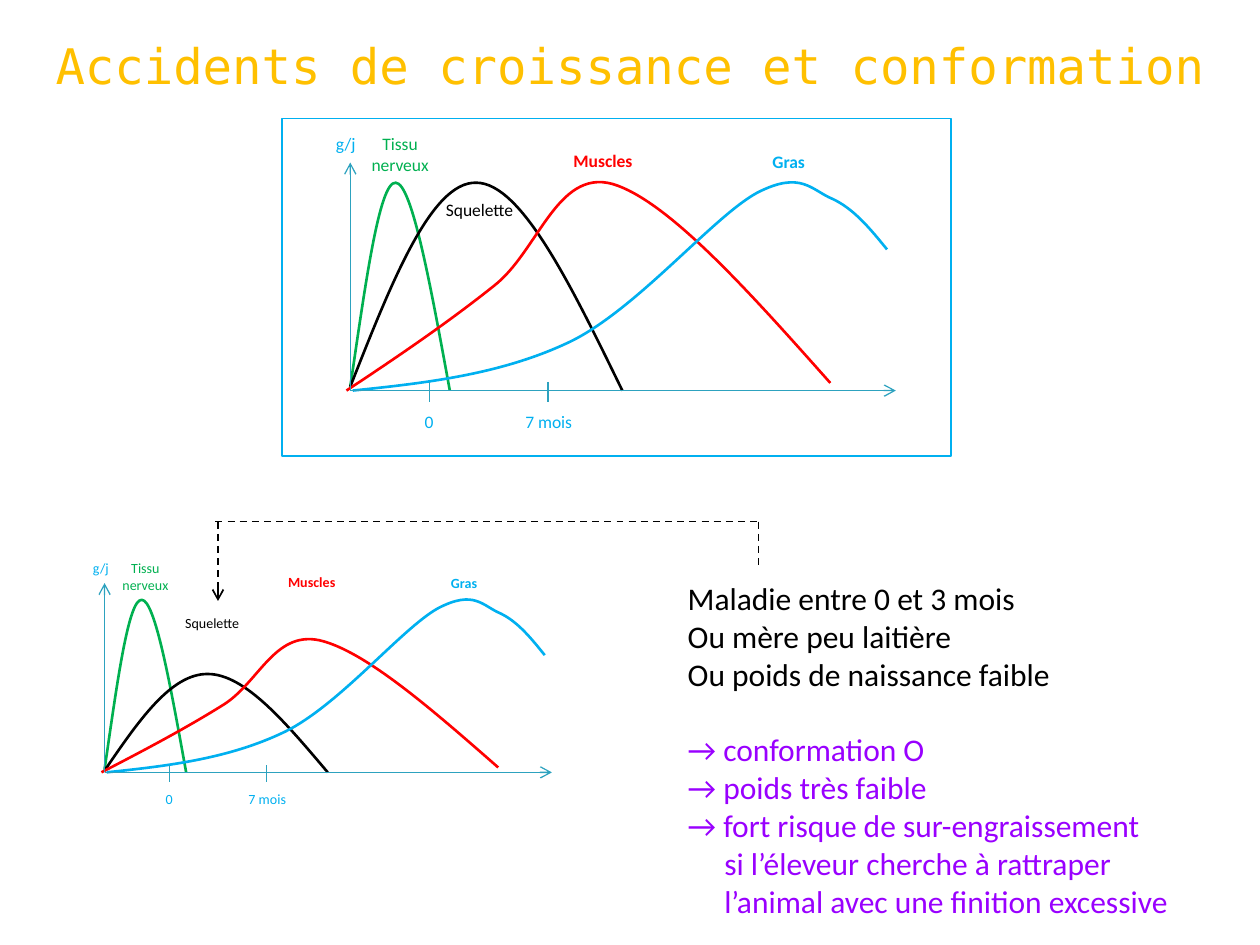
from lxml.etree import SubElement
from pptx import Presentation
from pptx.dml.color import RGBColor
from pptx.enum.dml import MSO_LINE
from pptx.enum.shapes import MSO_CONNECTOR, MSO_SHAPE
from pptx.enum.text import MSO_ANCHOR, PP_ALIGN
from pptx.oxml.ns import qn
from pptx.util import Inches, Pt

color = RGBColor.from_string
BLACK, GREEN, RED, BLUE = "000000", "00B050", "FF0000", "00B0F0"
TEAL, PURPLE, GOLD = "2DA2BF", "9900FF", "FFC000"

presentation = Presentation()
presentation.slide_width = Inches(10)
presentation.slide_height = Inches(7.5)
slide = presentation.slides.add_slide(presentation.slide_layouts[6])

# The slide is a grid of 10 columns by 7.5 rows.
column = presentation.slide_width / 10
row = presentation.slide_height / 7.5


def add_text(shapes, text, left, top, width, height, size, hue, font="Calibri",
             bold=False, align=PP_ALIGN.CENTER, anchor=MSO_ANCHOR.TOP):
    """Add a text box placed in columns and rows; each line is a paragraph."""
    box = shapes.add_textbox(int(left * column), int(top * row),
                             int(width * column), int(height * row))
    frame = box.text_frame
    frame.word_wrap = True
    frame.vertical_anchor = anchor
    frame.text = text
    for paragraph in frame.paragraphs:
        paragraph.alignment = align
        paragraph.font.size = Pt(size)
        paragraph.font.name = font
        paragraph.font.bold = bold
        paragraph.font.color.rgb = color(hue)
    return frame


def add_line(shapes, x1, y1, x2, y2, hue, width=0.75, dashed=False, arrow=False):
    """Add a straight line between two grid points."""
    line = shapes.add_connector(MSO_CONNECTOR.STRAIGHT, int(x1 * column), int(y1 * row),
                                int(x2 * column), int(y2 * row))
    line.line.color.rgb = color(hue)
    line.line.width = Pt(width)
    if dashed:
        line.line.dash_style = MSO_LINE.DASH
    if arrow:
        SubElement(line.line._get_or_add_ln(), qn("a:tailEnd"), type="arrow")
    SubElement(line._element.spPr, qn("a:effectLst"))


add_text(slide.shapes, "Accidents de croissance et conformation", 0, 0.13, 10, 0.77,
         28, GOLD, font="DejaVu Sans Mono", anchor=MSO_ANCHOR.MIDDLE)

# Growth curves: Bézier points (x, height) measured from the origin of the axes.
curves = {
    "nerveux": (GREEN, [(0, 0.03), (0.12, 0.84), (0.23, 1.66), (0.36, 1.65),
                        (0.49, 1.65), (0.64, 0.82), (0.79, 0)]),
    "squelette": (BLACK, [(0, 0.03), (0.32, 0.84), (0.64, 1.66), (1, 1.65),
                          (1.36, 1.65), (1.76, 0.82), (2.16, 0)]),
    "muscles": (RED, [(-0.03, 0), (0.38, 0.27), (0.79, 0.55), (1.14, 0.83),
                      (1.49, 1.1), (1.64, 1.76), (2.08, 1.64),
                      (2.52, 1.51), (3.17, 0.78), (3.81, 0.06)]),
    "gras": (BLUE, [(0.02, 0), (0.61, 0.06), (1.21, 0.13), (1.75, 0.39),
                    (2.28, 0.65), (2.88, 1.38), (3.23, 1.57),
                    (3.58, 1.75), (3.66, 1.59), (3.83, 1.52),
                    (4, 1.44), (4.13, 1.28), (4.26, 1.12)]),
}
# Labels: text, left and height above the origin, box width and height, colour, bold, alignment.
labels = [
    ("0", 0.47, -0.11, 0.31, 0.27, BLUE, False, PP_ALIGN.CENTER),
    ("7 mois", 1.26, -0.11, 0.63, 0.27, BLUE, False, PP_ALIGN.CENTER),
    ("Tissu nerveux", 0.04, 2.09, 0.71, 0.44, GREEN, False, PP_ALIGN.CENTER),
    ("Squelette", 0.66, 1.57, 0.85, 0.27, BLACK, False, PP_ALIGN.LEFT),
    ("Muscles", 1.65, 1.96, 0.71, 0.27, RED, True, PP_ALIGN.CENTER),
    ("Gras ", 3.14, 1.95, 0.71, 0.27, BLUE, True, PP_ALIGN.CENTER),
    ("g/j", -0.35, 2.09, 0.63, 0.27, BLUE, False, PP_ALIGN.CENTER),
]
# Charts: origin, scale, text size, curves that are lowered, framed or not.
charts = [
    (0.83, 6.13, 0.82, 0.83, 8, {"squelette": 0.57, "muscles": 0.77}, False),
    (2.78, 3.1, 1, 1, 10, {}, True),
]

for origin_x, origin_y, scale_x, scale_y, text_size, lowered, framed in charts:
    shapes = slide.shapes.add_group_shape().shapes

    for name, (hue, points) in curves.items():
        rise = scale_y * lowered.get(name, 1)
        knots = [(round((origin_x + x * scale_x) * column), round((origin_y - y * rise) * row))
                 for x, y in points]
        builder = shapes.build_freeform(*knots[0])
        builder.add_line_segments(knots[3::3], close=False)
        curve = builder.convert_to_shape()
        # Turn each straight segment into a Bézier segment with its two control points.
        for index, segment in enumerate(list(curve._element.iter(qn("a:lnTo")))):
            segment.tag = qn("a:cubicBezTo")
            controls = knots[3 * index + 1:3 * index + 3]
            for position, (x, y) in enumerate(controls):
                control = SubElement(segment, qn("a:pt"), x=str(x - curve.left),
                                     y=str(y - curve.top))
                segment.insert(position, control)
        curve.shadow.inherit = False
        curve.fill.background()
        curve.line.color.rgb = color(hue)
        curve.line.width = Pt(1.5)

    add_line(shapes, origin_x, origin_y, origin_x, origin_y - 1.81 * scale_y, TEAL, arrow=True)
    add_line(shapes, origin_x, origin_y, origin_x + 4.33 * scale_x, origin_y, TEAL, arrow=True)
    for tick in (0.63, 1.57):
        x = origin_x + tick * scale_x
        add_line(shapes, x, origin_y - 0.07 * scale_y, x, origin_y + 0.09 * scale_y, TEAL)

    for text, x, y, width, height, hue, bold, align in labels:
        add_text(shapes, text, origin_x + x * scale_x, origin_y - y * scale_y,
                 width * scale_x, height * scale_y, text_size, hue, bold=bold, align=align)

    if framed:
        border = shapes.add_shape(MSO_SHAPE.RECTANGLE, int(2.24 * column), int(0.94 * row),
                                  int(5.31 * column), int(2.68 * row))
        border.shadow.inherit = False
        border.fill.background()
        border.line.color.rgb = color(BLUE)
        border.line.width = Pt(1)

causes = ["Maladie entre 0 et 3 mois", "Ou mère peu laitière", "Ou poids de naissance faible"]
effects = ["→ conformation O", "→ poids très faible", "→ fort risque de sur-engraissement",
           "si l’éleveur cherche à rattraper l’animal avec une finition excessive"]
comments = add_text(slide.shapes, "\n".join(causes + effects), 5.36, 4.55, 4.36, 3.13,
                    18, BLACK, align=PP_ALIGN.LEFT).paragraphs
for paragraph in comments[len(causes):]:
    paragraph.font.color.rgb = color(PURPLE)
comments[len(causes)].space_before = Pt(21.5)
comments[-1]._p.get_or_add_pPr().set("marL", str(Inches(0.29)))

add_line(slide.shapes, 1.71, 4.14, 6.02, 4.14, BLACK, width=1, dashed=True)
add_line(slide.shapes, 1.73, 4.14, 1.73, 4.77, BLACK, width=1, dashed=True, arrow=True)
add_line(slide.shapes, 6.02, 4.14, 6.02, 4.51, BLACK, width=1, dashed=True)

presentation.save("out.pptx")
